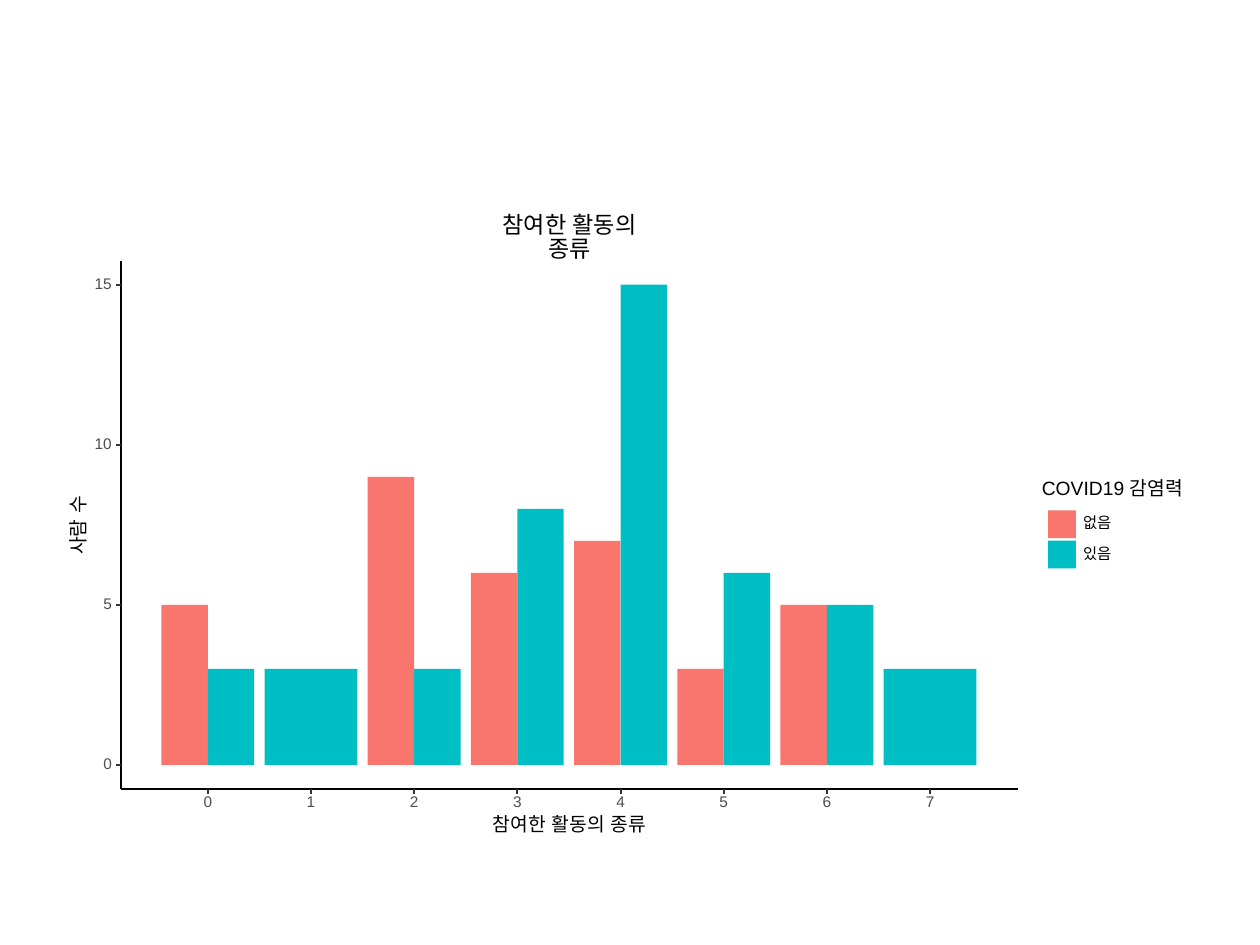
from dataclasses import dataclass

from lxml import etree
from pptx import Presentation
from pptx.dml.color import RGBColor
from pptx.enum.shapes import MSO_CONNECTOR, MSO_SHAPE
from pptx.enum.text import MSO_ANCHOR, MSO_AUTO_SIZE, PP_ALIGN
from pptx.oxml.ns import qn
from pptx.shapes.autoshape import Shape
from pptx.slide import Slide
from pptx.util import Cm, Pt

RECTANGLE = MSO_SHAPE.RECTANGLE
STRAIGHT = MSO_CONNECTOR.STRAIGHT
MIDDLE = MSO_ANCHOR.MIDDLE
CENTER = PP_ALIGN.CENTER
NO_AUTOFIT = MSO_AUTO_SIZE.NONE
TITLE_ONLY = 5


@dataclass(frozen=True)
class Theme:
    font: str = "Arial"
    background: str = "FFFFFF"
    text: str = "000000"
    tick_text: str = "4D4D4D"
    axis: str = "000000"
    tick: str = "333333"
    title_size: float = 13.2
    heading_size: float = 11
    label_size: float = 8.8
    line_width: float = 1.07


@dataclass(frozen=True)
class Box:
    left: float
    top: float
    width: float
    height: float


@dataclass(frozen=True)
class Label:
    text: str
    center_x: float
    center_y: float
    width: float
    size: float
    color: str
    rotation: float = 0


@dataclass(frozen=True)
class Series:
    name: str
    color: str
    counts: tuple[int, ...]


THEME = Theme()
SERIES = (
    Series("없음", "F8766D", (5, 0, 9, 6, 7, 3, 5, 0)),
    Series("있음", "00BFC4", (3, 3, 3, 8, 15, 6, 5, 3)),
)
CHART_AREA = Box(1.27, 4.45, 22.86, 12.57)
PANEL = Box(2.44, 5.26, 18.08, 10.64)
PANEL_BOTTOM = PANEL.top + PANEL.height
LEGEND = Box(20.9, 9.5, 3.02, 2.16)
FIRST_CATEGORY = 4.19
CATEGORY_STEP = 2.08
GROUP_WIDTH = 0.9 * CATEGORY_STEP
BASELINE = 15.42
COUNT_HEIGHT = 9.68 / 15
TICK_LENGTH = 0.1
DIGIT_WIDTH = 0.18
KEY_SIZE = 0.56
KEY_STEP = 0.61


def add_rectangle(slide: Slide, box: Box, color: str, outlined: bool = False) -> None:
    shape = slide.shapes.add_shape(
        RECTANGLE, Cm(box.left), Cm(box.top), Cm(box.width), Cm(box.height)
    )
    shape.shadow.inherit = False
    shape.fill.solid()
    shape.fill.fore_color.rgb = RGBColor.from_string(color)
    if outlined:
        shape.line.color.rgb = RGBColor.from_string(color)
        shape.line.width = Pt(THEME.line_width)
    else:
        shape.line.fill.background()


def add_line(
    slide: Slide, start: tuple[float, float], end: tuple[float, float], color: str
) -> None:
    connector = slide.shapes.add_connector(
        STRAIGHT, Cm(start[0]), Cm(start[1]), Cm(end[0]), Cm(end[1])
    )
    connector.line.color.rgb = RGBColor.from_string(color)
    connector.line.width = Pt(THEME.line_width)
    etree.SubElement(connector.element.spPr, qn("a:effectLst"))


def write_label(shape: Shape, label: Label) -> None:
    height = 0.26
    shape.left = Cm(label.center_x - label.width / 2)
    shape.top = Cm(label.center_y - height / 2)
    shape.width, shape.height = Cm(label.width), Cm(height)
    shape.rotation = label.rotation
    frame = shape.text_frame
    frame.margin_left = frame.margin_right = frame.margin_top = frame.margin_bottom = 0
    frame.vertical_anchor = MIDDLE
    frame.auto_size = NO_AUTOFIT
    frame.word_wrap = False
    paragraph = frame.paragraphs[0]
    paragraph.alignment = CENTER
    paragraph.line_spacing = Pt(label.size)
    run = paragraph.add_run()
    run.text = label.text
    run.font.size = Pt(label.size)
    run.font.name = THEME.font
    run.font.color.rgb = RGBColor.from_string(label.color)
    etree.SubElement(run.font._element, qn("a:ea"), typeface=THEME.font)


def add_label(slide: Slide, label: Label) -> None:
    write_label(slide.shapes.add_textbox(0, 0, 0, 0), label)


def category_center(category: int) -> float:
    return FIRST_CATEGORY + category * CATEGORY_STEP


def add_bars(slide: Slide) -> None:
    for series in SERIES:
        for category, count in enumerate(series.counts):
            if not count:
                continue
            present = [other for other in SERIES if other.counts[category]]
            width = GROUP_WIDTH / len(present)
            left = category_center(category) - GROUP_WIDTH / 2 + present.index(series) * width
            height = count * COUNT_HEIGHT
            add_rectangle(slide, Box(left, BASELINE - height, width, height), series.color)


def add_axes(slide: Slide) -> None:
    corner = (PANEL.left, PANEL_BOTTOM)
    add_line(slide, corner, (PANEL.left, PANEL.top), THEME.axis)
    for count in range(0, 16, 5):
        y = BASELINE - count * COUNT_HEIGHT
        width = DIGIT_WIDTH * len(str(count))
        add_label(
            slide,
            Label(str(count), 2.26 - width / 2, y, width, THEME.label_size, THEME.tick_text),
        )
        add_line(slide, (PANEL.left - TICK_LENGTH, y), (PANEL.left, y), THEME.tick)

    add_line(slide, corner, (PANEL.left + PANEL.width, PANEL_BOTTOM), THEME.axis)
    for category in range(len(SERIES[0].counts)):
        x = category_center(category)
        add_line(slide, (x, PANEL_BOTTOM + TICK_LENGTH), (x, PANEL_BOTTOM), THEME.tick)
        add_label(
            slide,
            Label(str(category), x, 16.19, DIGIT_WIDTH, THEME.label_size, THEME.tick_text),
        )

    size, color = THEME.heading_size, THEME.text
    add_label(slide, Label("참여한 활동의 종류", 11.48, 16.64, 2.54, size, color))
    add_label(slide, Label("사람 수", 1.61, 10.59, 0.99, size, color, 270))


def add_legend(slide: Slide) -> None:
    add_rectangle(slide, LEGEND, THEME.background)
    add_label(
        slide, Label("COVID19 감염력", 22.43, 9.87, 2.64, THEME.heading_size, THEME.text)
    )
    for index, series in enumerate(SERIES):
        top = 10.29 + index * KEY_STEP
        add_rectangle(slide, Box(21.13, top, KEY_SIZE, KEY_SIZE), series.color)
        add_label(
            slide,
            Label(series.name, 22.12, top + KEY_SIZE / 2, 0.46, THEME.label_size, THEME.text),
        )


def add_title(slide: Slide) -> None:
    title = slide.shapes.title
    write_label(
        title, Label("참여한 활동의 종류", 11.48, 4.81, 3.05, THEME.title_size, THEME.text)
    )
    title.element.getparent().append(title.element)


def main() -> None:
    presentation = Presentation()
    presentation.slide_width, presentation.slide_height = Cm(25.4), Cm(19.05)
    slide = presentation.slides.add_slide(presentation.slide_layouts[TITLE_ONLY])
    add_rectangle(slide, CHART_AREA, THEME.background, outlined=True)
    add_rectangle(slide, PANEL, THEME.background)
    add_bars(slide)
    add_axes(slide)
    add_legend(slide)
    add_title(slide)
    presentation.save("out.pptx")


if __name__ == "__main__":
    main()
